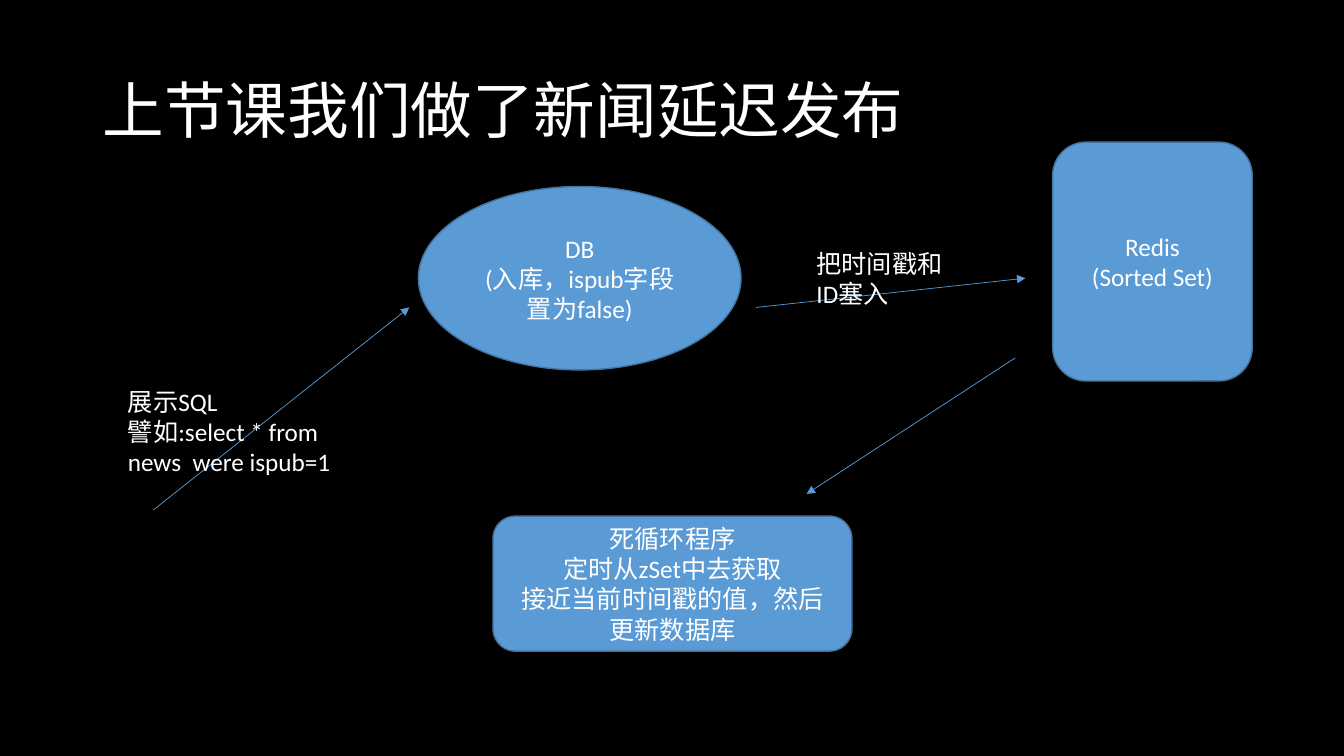
"""Build the slide that recaps the delayed news publishing flow."""
from lxml import etree
from pptx import Presentation
from pptx.dml.color import RGBColor
from pptx.enum.shapes import MSO_CONNECTOR, MSO_SHAPE
from pptx.enum.text import MSO_ANCHOR, PP_ALIGN
from pptx.oxml.ns import qn
from pptx.util import Pt

PX = 9144
STRAIGHT = MSO_CONNECTOR.STRAIGHT
ELLIPSE, ROUNDED = MSO_SHAPE.OVAL, MSO_SHAPE.ROUNDED_RECTANGLE
TOP, MIDDLE = MSO_ANCHOR.TOP, MSO_ANCHOR.MIDDLE
LEFT, CENTER = PP_ALIGN.LEFT, PP_ALIGN.CENTER
BLACK, WHITE, BLUE, DARK_BLUE = "000000", "FFFFFF", "5B9BD5", "43739E"


def color(hex_text):
    return RGBColor.from_string(hex_text)


def write(shape, lines, size, anchor, alignment, spacing=1.0):
    frame = shape.text_frame
    frame.word_wrap = True
    frame.vertical_anchor = anchor
    for index, line in enumerate(lines):
        paragraph = frame.add_paragraph() if index else frame.paragraphs[0]
        paragraph.alignment = alignment
        paragraph.line_spacing = spacing
        run = paragraph.add_run()
        run.text = line
        run.font.name = "Calibri"
        run.font.size = Pt(size)
        run.font.color.rgb = color(WHITE)


presentation = Presentation()
presentation.slide_width = 1333 * PX
presentation.slide_height = 750 * PX
slide = presentation.slides.add_slide(presentation.slide_layouts[6])
slide.background.fill.solid()
slide.background.fill.fore_color.rgb = color(BLACK)

nodes = [
    (ELLIPSE, (415, 185, 320, 182), ["DB", "(入库，ispub字段置为false)"]),
    (ROUNDED, (1044, 141, 198, 237), ["Redis", "(Sorted Set)"]),
    (ROUNDED, (489, 512, 356, 134),
     ["死循环程序", "定时从zSet中去获取", "接近当前时间戳的值，然后更新数据库"]),
]
for kind, box, lines in nodes:
    node = slide.shapes.add_shape(kind, *(value * PX for value in box))
    node.shadow.inherit = False
    node.fill.solid()
    node.fill.fore_color.rgb = color(BLUE)
    node.line.color.rgb = color(DARK_BLUE)
    node.line.width = Pt(1)
    write(node, lines, 18, MIDDLE, CENTER)

arrows = [(152, 506, 406, 305), (750, 305, 1017, 276), (1007, 355, 800, 490)]
for ends in arrows:
    arrow = slide.shapes.add_connector(STRAIGHT, *(value * PX for value in ends))
    arrow.line.color.rgb = color(BLUE)
    arrow.line.width = Pt(0.5)
    etree.SubElement(arrow.line._get_or_add_ln(), qn("a:tailEnd"), type="triangle")
    etree.SubElement(arrow._element.spPr, qn("a:effectLst"))

labels = [
    ((92, 40, 1150, 145), ["上节课我们做了新闻延迟发布"], 44, MIDDLE, 0.9),
    ((117, 378, 260, 101),
     ["展示SQL", "譬如:select * from news  were ispub=1"], 18, TOP, 1.0),
    ((800, 241, 147, 71), ["把时间戳和ID塞入"], 18, TOP, 1.0),
]
for box, lines, size, anchor, spacing in labels:
    label = slide.shapes.add_textbox(*(value * PX for value in box))
    write(label, lines, size, anchor, LEFT, spacing)

presentation.save("out.pptx")
